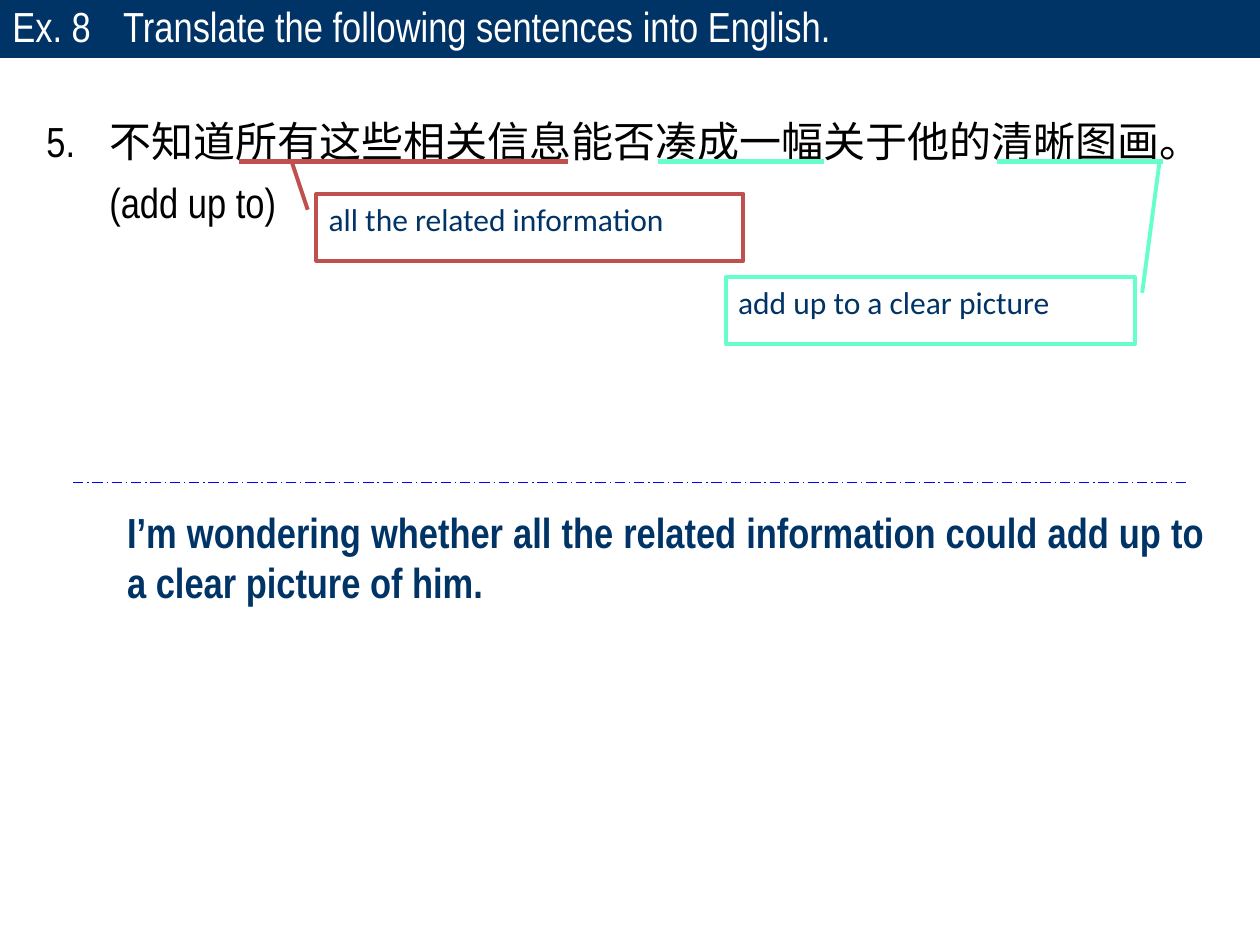
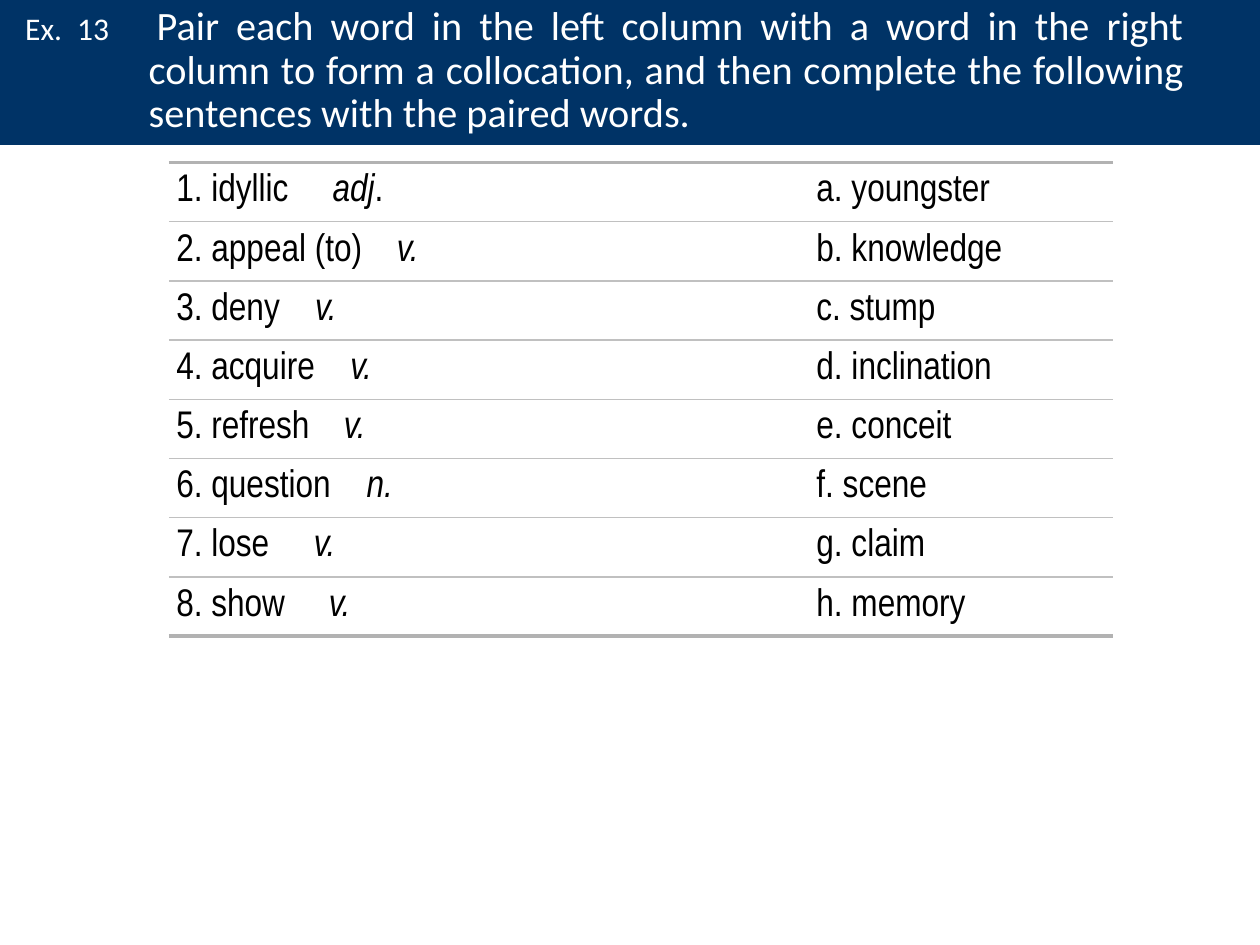
"""Build two exercise slides: a sentence translation and a word-pairing table."""
from dataclasses import dataclass
from typing import Optional

import lxml.etree
import pptx
import pptx.dml.color
import pptx.enum.dml
import pptx.enum.shapes
import pptx.enum.text
import pptx.oxml
import pptx.oxml.ns
import pptx.util

Inches = pptx.util.Inches
Pt = pptx.util.Pt
qn = pptx.oxml.ns.qn
JUSTIFY = pptx.enum.text.PP_ALIGN.JUSTIFY
LEFT = pptx.enum.text.PP_ALIGN.LEFT

COLORS = {
    "navy": "003366",
    "white": "FFFFFF",
    "black": "000000",
    "red": "C0504D",
    "mint": "66FFCC",
    "blue": "0000FF",
    "rule": "C0C0C0",
    "frame": "B2B2B2",
}
NARROW = "Arial Narrow"
CALIBRI = "Calibri"
CHINESE = "Noto Sans CJK SC"


@dataclass(frozen=True)
class Piece:
    text: str
    size: Optional[float] = None
    font: Optional[str] = None
    italic: Optional[bool] = None


@dataclass(frozen=True)
class Style:
    size: Optional[float]
    font: Optional[str]
    color: str
    bold: bool = False
    align: pptx.enum.text.PP_ALIGN = LEFT
    hanging: float = 0
    spacing: float = 1
    tab: Optional[float] = None


@dataclass(frozen=True)
class Box:
    left: float
    top: float
    width: float
    height: float

    def lengths(self) -> list:
        return [Inches(n) for n in (self.left, self.top, self.width, self.height)]


@dataclass(frozen=True)
class Rule:
    start: float
    end: float
    y: float
    color: str
    weight: float = 3
    dash: Optional[pptx.enum.dml.MSO_LINE] = None


@dataclass(frozen=True)
class Hint:
    text: str
    box: Box
    color: str
    leader: tuple


@dataclass(frozen=True)
class Pair:
    word: str
    speech: str
    speech_at: float
    match: str
    ending: str = ""


UNDERLINES = [
    Rule(1.9, 4.51, 1.28, "red"),
    Rule(5.22, 6.54, 1.28, "mint"),
    Rule(7.91, 9.23, 1.28, "mint"),
]
DIVIDER = Rule(0.58, 9.41, 3.83, "blue", 0.75, pptx.enum.dml.MSO_LINE.LONG_DASH_DOT)
HINTS = [
    Hint("all the related information", Box(2.51, 1.54, 3.39, 0.53), "red",
         (0.235, -0.02, 0.235, -0.02, -0.474, -0.057)),
    Hint("add up to a clear picture", Box(5.76, 2.2, 3.25, 0.53), "mint",
         (0.235, 1.017, 0.235, 1.017, -1.716, 1.059)),
]
PAIRS = [
    Pair("idyllic", "adj", 1.24, "youngster", "."),
    Pair("appeal (to)", "v.", 1.75, "knowledge"),
    Pair("deny", "v.", 1.1, "stump"),
    Pair("acquire", "v.", 1.38, "inclination"),
    Pair("refresh", "v.", 1.33, "conceit"),
    Pair("question", "n.", 1.51, "scene"),
    Pair("lose", "v.", 1.09, "claim"),
    Pair("show", "v.", 1.21, "memory"),
]
COLUMN_WIDTHS = (2.08, 3, 2.41)
ROW_HEIGHT = 0.47


def rgb(name: str) -> pptx.dml.color.RGBColor:
    """Return a named colour."""
    return pptx.dml.color.RGBColor.from_string(COLORS[name])


def write(paragraph, style: Style, *pieces: Piece) -> None:
    """Fill a paragraph with pieces of text in one style."""
    paragraph.alignment = style.align
    paragraph.line_spacing = style.spacing
    properties = paragraph._p.get_or_add_pPr()
    if style.hanging:
        properties.set("marL", str(Inches(style.hanging)))
        properties.set("indent", str(-Inches(style.hanging)))
    if style.tab:
        stops = lxml.etree.SubElement(properties, qn("a:tabLst"))
        lxml.etree.SubElement(stops, qn("a:tab"), pos=str(Inches(style.tab)), algn="l")
    font = paragraph.font
    font.color.rgb = rgb(style.color)
    font.bold = style.bold
    if style.size:
        font.size = Pt(style.size)
    if style.font:
        font.name = style.font
    for piece in pieces:
        run = paragraph.add_run()
        run.text = piece.text
        if piece.italic is not None:
            run.font.italic = piece.italic
        if piece.size:
            run.font.size = Pt(piece.size)
        if piece.font:
            run.font.name = piece.font
            if piece.font == CHINESE:
                east_asian = lxml.etree.SubElement(run._r.get_or_add_rPr(), qn("a:ea"))
                east_asian.set("typeface", piece.font)


def prepare_frame(shape, margins: tuple = (0.1, 0.05, 0.1, 0.05)):
    """Give a shape wrapped, top-anchored text and return its frame."""
    frame = shape.text_frame
    frame.word_wrap = True
    frame.vertical_anchor = pptx.enum.text.MSO_ANCHOR.TOP
    (frame.margin_left, frame.margin_top,
     frame.margin_right, frame.margin_bottom) = map(Inches, margins)
    return frame


def add_title_band(slide, height: float, style: Style, *pieces: Piece,
                   margins: tuple = (0.1, 0.05, 0.1, 0.05)) -> None:
    """Draw the navy band with the exercise heading."""
    band = slide.shapes.add_shape(
        pptx.enum.shapes.MSO_SHAPE.RECTANGLE, *Box(0, 0, 10, height).lengths())
    band.shadow.inherit = False
    band.fill.solid()
    band.fill.fore_color.rgb = rgb("navy")
    band.line.fill.background()
    write(prepare_frame(band, margins).paragraphs[0], style, *pieces)


def add_text(slide, box: Box, style: Style, *lines: tuple) -> None:
    """Draw a text box with one paragraph for each line."""
    frame = prepare_frame(slide.shapes.add_textbox(*box.lengths()))
    for index, pieces in enumerate(lines):
        paragraph = frame.add_paragraph() if index else frame.paragraphs[0]
        write(paragraph, style, *pieces)


def add_rule(slide, rule: Rule) -> None:
    """Draw a horizontal line."""
    line = slide.shapes.add_connector(
        pptx.enum.shapes.MSO_CONNECTOR.STRAIGHT,
        Inches(rule.start), Inches(rule.y), Inches(rule.end), Inches(rule.y))
    line.line.color.rgb = rgb(rule.color)
    line.line.width = Pt(rule.weight)
    if rule.dash is not None:
        line.line.dash_style = rule.dash
    lxml.etree.SubElement(line._element.spPr, qn("a:effectLst"))


def add_hint(slide, hint: Hint) -> None:
    """Draw a callout with a leader to its underlined phrase."""
    callout = slide.shapes.add_shape(
        pptx.enum.shapes.MSO_SHAPE.LINE_CALLOUT_2, *hint.box.lengths())
    callout.shadow.inherit = False
    callout.fill.background()
    callout.line.color.rgb = rgb(hint.color)
    callout.line.width = Pt(2.25)
    for index, value in enumerate(hint.leader):
        callout.adjustments[index] = value
    write(prepare_frame(callout).paragraphs[0], Style(18, CALIBRI, "navy"), Piece(hint.text))


def set_borders(cell, top: tuple, bottom: tuple) -> None:
    """Rule a cell above and below and leave its sides open."""
    properties = cell._tc.get_or_add_tcPr()
    edges = {"lnL": None, "lnR": None, "lnT": top, "lnB": bottom}
    for index, (tag, edge) in enumerate(edges.items()):
        line = lxml.etree.Element(qn(f"a:{tag}"))
        if edge:
            color, weight = edge
            line.set("w", str(Pt(weight)))
            fill = lxml.etree.SubElement(line, qn("a:solidFill"))
            lxml.etree.SubElement(fill, qn("a:srgbClr"), val=COLORS[color])
        else:
            lxml.etree.SubElement(line, qn("a:noFill"))
        properties.insert(index, line)


def add_pair_table(slide) -> None:
    """Draw the two lists of words to be paired."""
    box = Box(1.34, 1.29, sum(COLUMN_WIDTHS), ROW_HEIGHT * len(PAIRS))
    table = slide.shapes.add_table(len(PAIRS), len(COLUMN_WIDTHS), *box.lengths()).table
    table.first_row = False
    table.horz_banding = False
    for column, width in zip(table.columns, COLUMN_WIDTHS):
        column.width = Inches(width)
    frame, rule = ("frame", 2.25), ("rule", 1)
    last = len(PAIRS) - 1
    for index, pair in enumerate(PAIRS):
        table.rows[index].height = Inches(ROW_HEIGHT)
        cells = [table.cell(index, column) for column in range(len(COLUMN_WIDTHS))]
        for cell in cells:
            cell.fill.background()
            cell.vertical_anchor = pptx.enum.text.MSO_ANCHOR.MIDDLE
            cell.margin_left = cell.margin_right = Inches(0.06)
            cell.margin_top = cell.margin_bottom = Inches(0.05)
            set_borders(cell, rule if index else frame, frame if index == last else rule)
        word, _, match = (cell.text_frame.paragraphs[0] for cell in cells)
        pieces = [Piece(f"{index + 1}. {pair.word}\t"), Piece(pair.speech, italic=True)]
        if pair.ending:
            pieces.append(Piece(pair.ending))
        write(word, Style(22, NARROW, "black", spacing=0.9, tab=pair.speech_at), *pieces)
        write(match, Style(22, NARROW, "black", spacing=0.9),
              Piece(f"{'abcdefgh'[index]}. {pair.match}"))


def build_translation(slide) -> None:
    """Build the translation exercise."""
    add_text(slide, Box(0.27, 0.79, 9.73, 1.06),
             Style(24, None, "black", align=JUSTIFY, hanging=0.5, spacing=1.2),
             (Piece("5.\t", font=NARROW),
              Piece("不知道所有这些相关信息能否凑成一幅关于他的清晰图画。", font=CHINESE)),
             (Piece("\t(add up to)", font=NARROW),))
    add_text(slide, Box(0.91, 3.97, 8.75, 0.9),
             Style(24, NARROW, "navy", bold=True, align=JUSTIFY),
             (Piece("I’m wondering whether all the related information "
                    "could add up to a clear picture of him."),))
    add_title_band(slide, 0.46, Style(24, NARROW, "white", hanging=0.88, spacing=0.9),
                   Piece("Ex. 8\tTranslate the following sentences into English."))
    for rule in (*UNDERLINES, DIVIDER):
        add_rule(slide, rule)
    for hint in HINTS:
        add_hint(slide, hint)


def build_pairing(slide) -> None:
    """Build the collocation exercise."""
    add_title_band(
        slide, 1.15,
        Style(None, CALIBRI, "white", align=JUSTIFY, hanging=0.98, spacing=0.9),
        Piece("Ex. 13\t", size=18),
        Piece("Pair each word in the left column with a word in the right column to form "
              "a collocation, and then complete the following sentences with the paired "
              "words.", size=23),
        margins=(0.2, 0.05, 0.59, 0.05))
    add_pair_table(slide)


def main() -> None:
    """Build and save the presentation."""
    deck = pptx.Presentation()
    deck.slide_width, deck.slide_height = Inches(10), Inches(7.5)
    for build in (build_translation, build_pairing):
        build(deck.slides.add_slide(deck.slide_layouts[6]))
    deck.save("out.pptx")


if __name__ == "__main__":
    main()
